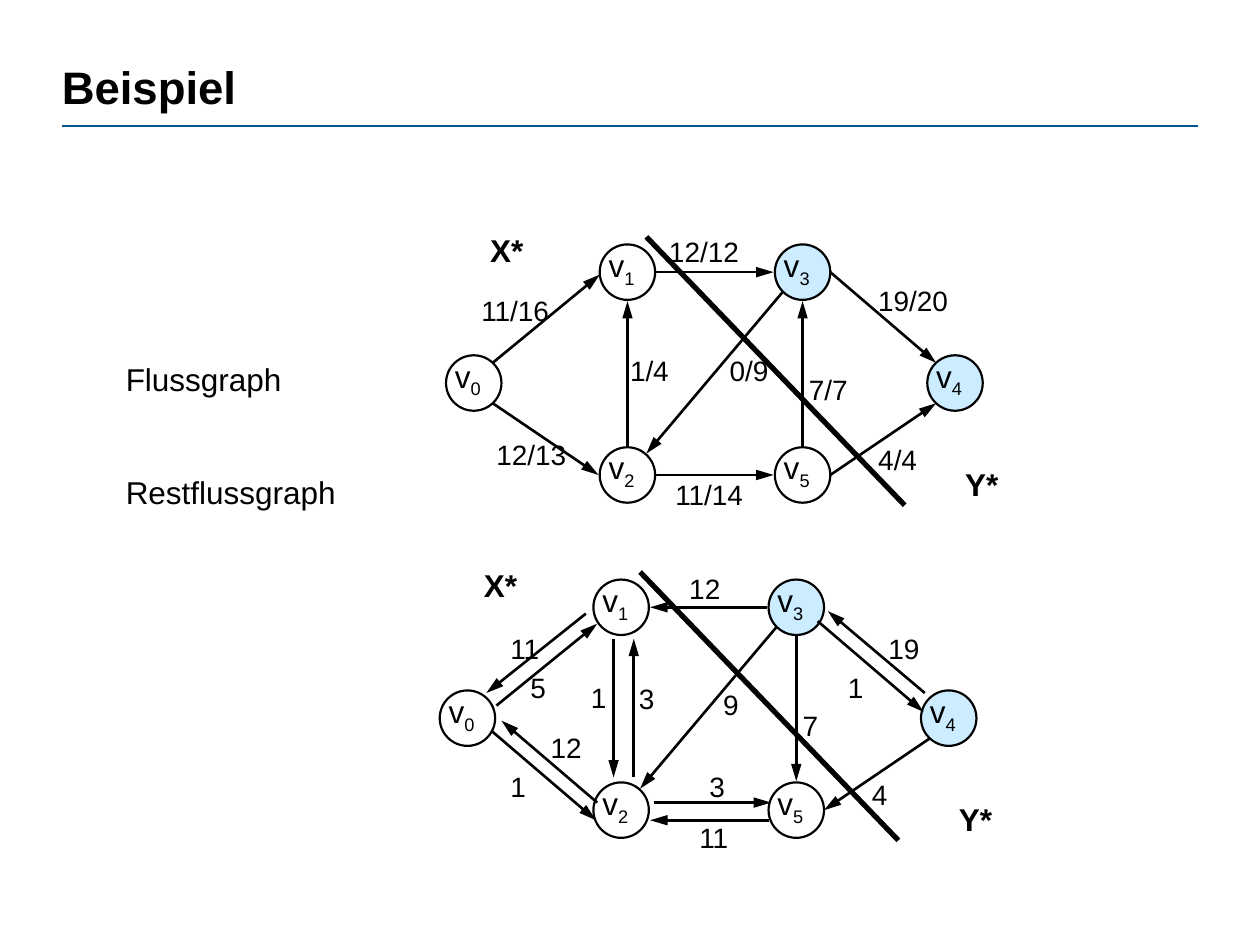
from math import ceil

from pptx import Presentation
from pptx import util as u
from pptx.dml.color import RGBColor
from pptx.enum import shapes, text
from pptx.oxml.ns import qn
from lxml import etree

PX = 9144  # 100 px to the inch
BLACK = RGBColor(0, 0, 0)
WHITE = RGBColor(255, 255, 255)
SINK_BLUE = RGBColor(0xCC, 0xEC, 0xFF)
RULE_BLUE = RGBColor(0, 0x58, 0x90)
BODY = {"name": "Arial", "size": u.Pt(18)}
BOLD = {**BODY, "bold": True}
WEIGHT = {**BODY, "size": u.Pt(16)}
HEADING = {**BOLD, "size": u.Pt(26)}

NODE_SIZE = 44
NODES = [  # index, left, top, fill
    (4, 386, 102, SINK_BLUE),
    (0, 4, 102, WHITE),
    (1, 126, 14, WHITE),
    (2, 126, 175, WHITE),
    (3, 265, 14, SINK_BLUE),
    (5, 265, 175, WHITE),
]
SIDES = [("X*", 39, 3), ("Y*", 416, 189)]
CUT = (163, 8, 368, 221)

# Arrows run from the first point to the second, within the graph's box.
FLOW_ARROWS = [
    (41, 108, 126, 38), (41, 140, 125, 197), (148, 174, 148, 59),
    (171, 36, 264, 36), (271, 52, 163, 180), (171, 197, 264, 197),
    (287, 174, 287, 59), (309, 197, 393, 140), (309, 36, 393, 108),
]
FLOW_WEIGHTS = [
    ("11/16", 32, 53), ("12/12", 181, 6), ("19/20", 347, 45),
    ("4/4", 347, 171), ("7/7", 292, 116), ("0/9", 229, 101),
    ("11/14", 186, 199), ("1/4", 150, 101), ("12/13", 44, 167),
]
RESIDUAL_ARROWS = [
    (49, 114, 129, 49), (120, 41, 41, 104), (142, 61, 142, 171),
    (158, 171, 158, 61), (264, 36, 171, 36), (271, 52, 163, 180),
    (174, 191, 267, 191), (265, 205, 171, 205), (287, 59, 287, 174),
    (393, 140, 309, 197), (304, 47, 388, 119), (389, 104, 312, 39),
    (45, 134, 128, 205), (129, 191, 53, 126),
]
RESIDUAL_WEIGHTS = [
    ("5", 76, 86), ("11", 60, 55), ("12", 202, 8), ("1", 328, 86),
    ("19", 360, 55), ("4", 347, 171), ("7", 292, 116), ("9", 229, 100),
    ("11", 210, 205), ("3", 218, 165), ("1", 124, 94), ("3", 162, 95),
    ("1", 60, 165), ("12", 92, 134),
]


def px(*lengths):
    return [length * PX for length in lengths]


def style(font, look):
    for key, value in look.items():
        setattr(font, key, value)
    font.color.rgb = BLACK


def set_frame(frame, **settings):
    margins = dict.fromkeys(
        ("margin_left", "margin_top", "margin_right", "margin_bottom"), 0)
    for key, value in {**margins, **settings}.items():
        setattr(frame, key, value)


def add_line(slide, ends, color, width, arrow=False):
    line = slide.shapes.add_connector(shapes.MSO_CONNECTOR.STRAIGHT, *px(*ends))
    line.line.color.rgb = color
    line.line.width = u.Pt(width)
    if arrow:
        etree.SubElement(line.line._get_or_add_ln(), qn("a:tailEnd"),
                         type="triangle", w="med", len="lg")
    etree.SubElement(line._element.spPr, qn("a:effectLst"))


def add_label(slide, wording, left, top, width, height, look):
    label = slide.shapes.add_textbox(*px(left, top, width, height))
    set_frame(label.text_frame, word_wrap=False,
              auto_size=text.MSO_AUTO_SIZE.SHAPE_TO_FIT_TEXT)
    paragraph = label.text_frame.paragraphs[0]
    run = paragraph.add_run()
    run.text = wording
    style(run.font, look)
    return paragraph


def add_node(slide, index, left, top, fill):
    circle = slide.shapes.add_shape(
        shapes.MSO_SHAPE.OVAL, *px(left, top, NODE_SIZE, NODE_SIZE))
    circle.shadow.inherit = False
    circle.fill.solid()
    circle.fill.fore_color.rgb = fill
    circle.line.color.rgb = BLACK
    circle.line.width = u.Pt(1.25)
    name = add_label(slide, "v", left + 7, top + 1, 22, 30, BODY)
    subscript = name.add_run()
    subscript.text = str(index)
    style(subscript.font, BODY)
    subscript.font._element.set("baseline", "-25000")


def add_graph(slide, left, top, arrows, weights):
    def shift(ends):
        x1, y1, x2, y2 = ends
        return left + x1, top + y1, left + x2, top + y2

    for index, x, y, fill in NODES:
        add_node(slide, index, left + x, top + y, fill)
    for wording, x, y in weights:
        width = ceil(sum(6.2 if sign == "/" else 12.4 for sign in wording))
        add_label(slide, wording, left + x, top + y, width, 27, WEIGHT)
    for side, x, y in SIDES:
        add_label(slide, side, left + x, top + y, 27, 30, BOLD)
    for ends in arrows:
        add_line(slide, shift(ends), BLACK, 1.5, arrow=True)
    add_line(slide, shift(CUT), BLACK, 3)


def add_title(slide, left, top, width, height):
    title = slide.shapes.title
    title.left, title.top, title.width, title.height = px(left, top, width, height)
    set_frame(title.text_frame, vertical_anchor=text.MSO_ANCHOR.TOP,
              auto_size=text.MSO_AUTO_SIZE.NONE, word_wrap=True)
    title.text_frame.text = "Beispiel"
    heading = title.text_frame.paragraphs[0]
    heading.alignment = text.PP_ALIGN.LEFT
    style(heading.runs[0].font, HEADING)
    add_line(slide, (left, 100, 951, 100), RULE_BLUE, 0.75)


def add_captions(slide, left, top, width, height):
    captions = slide.shapes.add_textbox(*px(left, top, width, height)).text_frame
    captions.word_wrap = True
    captions.text = "Flussgraph\nRestflussgraph"
    for paragraph in captions.paragraphs:
        style(paragraph.runs[0].font, BODY)
    captions.paragraphs[1].space_before = u.Pt(43)


def main():
    deck = Presentation()
    deck.slide_width, deck.slide_height = px(1000, 750)
    slide = deck.slides.add_slide(deck.slide_layouts[5])
    add_title(slide, 49, 47, 900, 68)
    add_graph(slide, 350, 180, FLOW_ARROWS, FLOW_WEIGHTS)
    add_graph(slide, 345, 446, RESIDUAL_ARROWS, RESIDUAL_WEIGHTS)
    add_captions(slide, 90, 281, 270, 162)
    deck.save("out.pptx")


if __name__ == "__main__":
    main()
